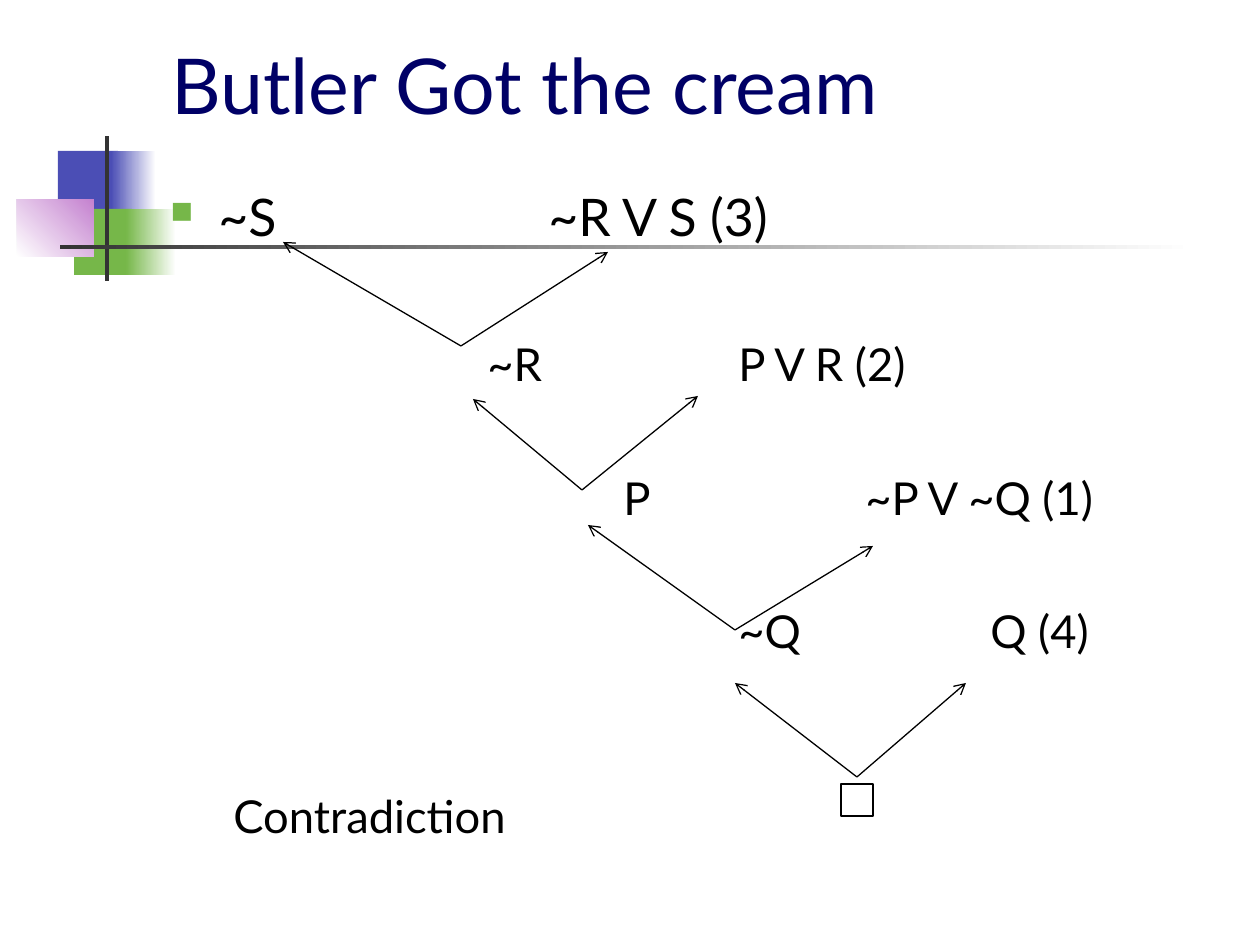
from lxml import etree
from pptx import Presentation
from pptx.dml.color import RGBColor
from pptx.enum.shapes import MSO_CONNECTOR, MSO_SHAPE
from pptx.enum.text import MSO_ANCHOR
from pptx.oxml.ns import qn
from pptx.util import Emu, Pt

RECT = MSO_SHAPE.RECTANGLE
LINE = MSO_CONNECTOR.STRAIGHT
BOTTOM, TOP = MSO_ANCHOR.BOTTOM, MSO_ANCHOR.TOP
FONT = "Lato"
PX = 914400 // 126
HEX = {
    "blue": "4B4EB5", "green": "76B749", "pink": "C481CF", "gray": "333333",
    "white": "FFFFFF", "navy": "000066", "black": "000000",
}

DECOR = [
    ((58, 151, 60, 66), "blue", None, 0),
    ((111, 151, 45, 66), "blue", "white", 0),
    ((74, 209, 58, 66), "green", None, 0),
    ((126, 209, 50, 66), "green", "white", 0),
    ((17, 199, 77, 58), "white", "pink", 45),
    ((105, 136, 4, 145), "gray", None, 0),
    ((60, 245, 1134, 4), "gray", "white", 0),
]
TITLE = "Butler Got the cream"
ROWS = [
    (["~S", "~R V S (3)"], [378], 29.6, 14),
    (["", "~R", "P V R (2)"], [317, 568], 25.9, 89),
    (["", "P", "~P V ~Q (1)"], [453, 695], 25.9, 79),
    (["", "~Q", "Q (4)"], [568, 820], 25.9, 79),
    (["", "Contradiction"], [63], 25.9, 131),
]
FORKS = [
    ((461, 346), (283, 242), (608, 252)),
    ((582, 490), (473, 399), (698, 396)),
    ((735, 630), (588, 525), (873, 546)),
    ((857, 777), (735, 683), (966, 683)),
]
BOX = (841, 784, 32, 32)
HANG = 48


def px(*nums):
    return [Emu(n * PX) for n in nums]


def rgb(name):
    return RGBColor.from_string(HEX[name])


def add_rect(slide, at):
    shape = slide.shapes.add_shape(RECT, *px(*at))
    shape.shadow.inherit = False
    return shape


def add_decor(slide, at, start, end, angle):
    shape = add_rect(slide, at)
    shape.line.fill.background()
    if end is None:
        shape.fill.solid()
        shape.fill.fore_color.rgb = rgb(start)
        return
    shape.fill.gradient()
    shape.fill.gradient_angle = angle
    for stop, name, pos in zip(shape.fill.gradient_stops, (start, end), (0, 1)):
        stop.color.rgb = rgb(name)
        stop.position = pos


def add_frame(slide, at, anchor):
    frame = slide.shapes.add_textbox(*px(*at)).text_frame
    frame.word_wrap = True
    frame.vertical_anchor = anchor
    return frame


def add_run(para, text, size, color):
    run = para.add_run()
    run.text = text
    run.font.name = FONT
    run.font.size = Pt(size)
    run.font.color.rgb = rgb(color)


def add_bullet(para):
    props = para._p.get_or_add_pPr()
    props.set("marL", str(HANG * PX))
    props.set("indent", str(-HANG * PX))
    color = etree.SubElement(props, qn("a:buClr"))
    etree.SubElement(color, qn("a:srgbClr"), val=HEX["green"])
    etree.SubElement(props, qn("a:buSzPct"), val="60000")
    etree.SubElement(props, qn("a:buChar"), char="■")


def add_tabs(para, stops):
    tabs = etree.SubElement(para._p.get_or_add_pPr(), qn("a:tabLst"))
    for stop in stops:
        etree.SubElement(tabs, qn("a:tab"), pos=str(stop * PX), algn="l")


def add_arrow(slide, start, end):
    line = slide.shapes.add_connector(LINE, *px(*start, *end))
    line.line.color.rgb = rgb("black")
    line.line.width = Pt(0.75)
    etree.SubElement(line.line._get_or_add_ln(), qn("a:tailEnd"), type="arrow")
    etree.SubElement(line._element.spPr, qn("a:effectLst"))


def main():
    deck = Presentation()
    deck.slide_width, deck.slide_height = px(1260, 945)
    slide = deck.slides.add_slide(deck.slide_layouts[6])

    for item in DECOR:
        add_decor(slide, *item)

    title = add_frame(slide, (159, 29, 1074, 107), BOTTOM)
    add_run(title.paragraphs[0], TITLE, 44, "navy")

    body = add_frame(slide, (158, 179, 1071, 703), TOP)
    for i, (labels, stops, size, gap) in enumerate(ROWS):
        para = body.add_paragraph() if i else body.paragraphs[0]
        para.space_before = Emu(gap * PX)
        if i == 0:
            add_bullet(para)
        add_tabs(para, stops)
        add_run(para, "\t".join(labels), size, "black")

    for root, left, right in FORKS:
        add_arrow(slide, root, left)
        add_arrow(slide, root, right)

    box = add_rect(slide, BOX)
    box.fill.background()
    box.line.color.rgb = rgb("black")
    box.line.width = Pt(0.75)

    deck.save("out.pptx")


if __name__ == "__main__":
    main()
